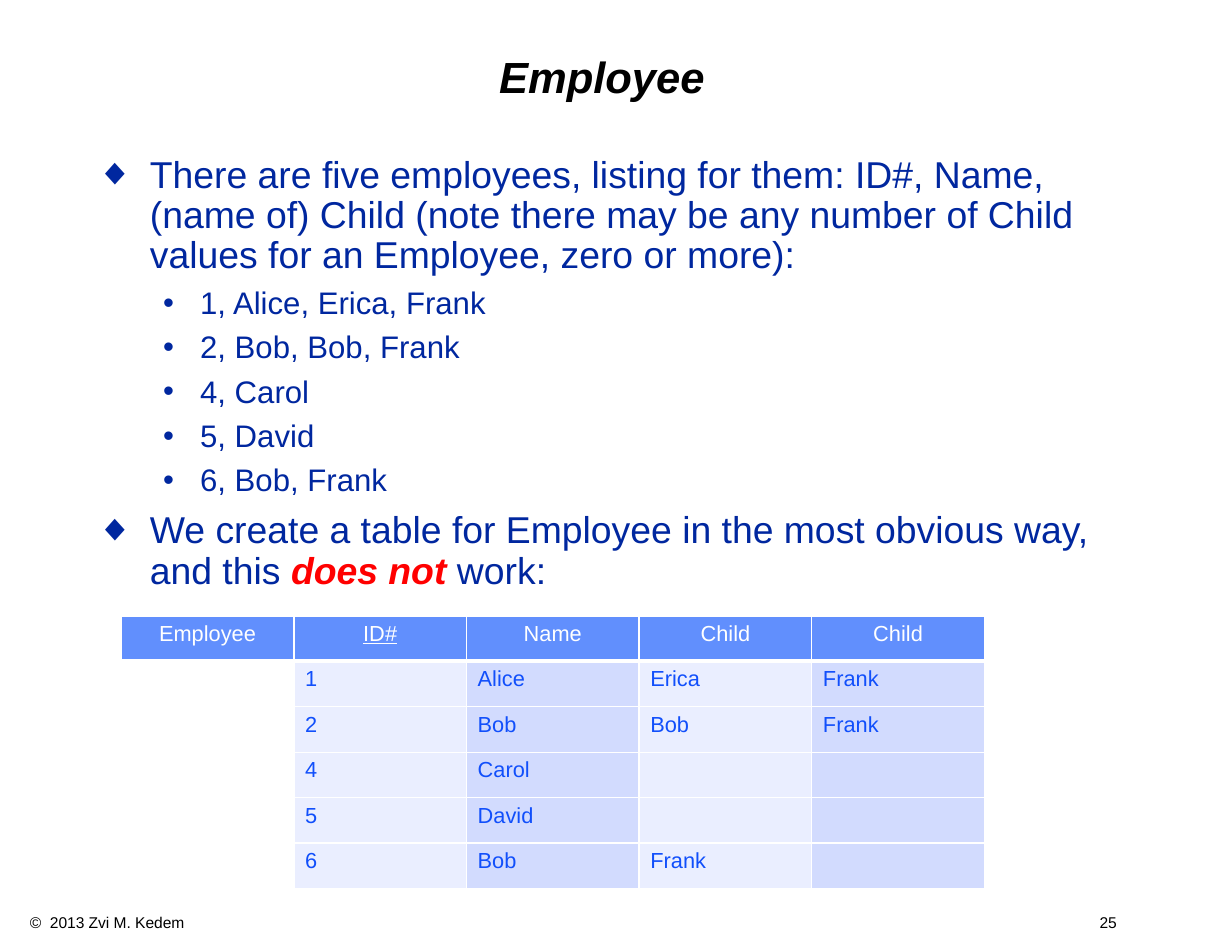
from dataclasses import dataclass

from lxml.etree import SubElement
from pptx import Presentation
from pptx.dml.color import RGBColor
from pptx.enum.text import MSO_ANCHOR, PP_ALIGN
from pptx.oxml.ns import qn
from pptx.util import Cm, Pt

BLACK = RGBColor(0x00, 0x00, 0x00)
WHITE = RGBColor(0xFF, 0xFF, 0xFF)
NAVY = RGBColor(0x00, 0x27, 0x9F)
RED = RGBColor(0xFF, 0x00, 0x00)
BLUE = RGBColor(0x11, 0x4F, 0xFB)
HEAD = RGBColor(0x61, 0x8F, 0xFD)
PALE = RGBColor(0xEA, 0xEE, 0xFF)
SOFT = RGBColor(0xD2, 0xDB, 0xFE)


@dataclass(frozen=True)
class Span:
    text: str
    color: RGBColor = NAVY
    strong: bool = False


@dataclass(frozen=True)
class Level:
    depth: int
    mark: str
    size: int
    left: float
    hang: float


@dataclass(frozen=True)
class Item:
    level: Level
    spans: tuple[Span, ...]


MAIN = Level(0, "◆", 24, 1.22, 1.22)
SUB = Level(1, "•", 20, 2.36, 0.84)

LISTING = ("1, Alice, Erica, Frank", "2, Bob, Bob, Frank", "4, Carol",
           "5, David", "6, Bob, Frank")
ITEMS = (
    Item(MAIN, (Span("There are five employees, listing for them: ID#, Name, "
                     "(name of) Child (note there may be any number of Child "
                     "values for an Employee, zero or more):"),)),
    *(Item(SUB, (Span(line),)) for line in LISTING),
    Item(MAIN, (Span("We create a table for Employee in the most obvious way, "
                     "and this "),
                Span("does not ", RED, True), Span("work:"))),
)
ROWS = (
    ("Employee", "ID#", "Name", "Child", "Child"),
    ("", "1", "Alice", "Erica", "Frank"),
    ("", "2", "Bob", "Bob", "Frank"),
    ("", "4", "Carol", "", ""),
    ("", "5", "David", "", ""),
    ("", "6", "Bob", "Frank", ""),
)
FILLS = (WHITE, PALE, SOFT, PALE, SOFT)


def add_run(para, text: str, size: int, color: RGBColor,
            strong: bool = False):
    run = para.add_run()
    run.text = text
    font = run.font
    font.name, font.size, font.color.rgb = "Arial", Pt(size), color
    font.bold = font.italic = strong
    return run


def add_box(slide, left: float, top: float, width: float, height: float,
            side: float = 0.28, edge: float = 0.15):
    box = slide.shapes.add_textbox(Cm(left), Cm(top), Cm(width), Cm(height))
    frame = box.text_frame
    frame.word_wrap = True
    frame.margin_left = frame.margin_right = Cm(side)
    frame.margin_top = frame.margin_bottom = Cm(edge)
    return frame


def add_item(para, item: Item) -> None:
    level = item.level
    para.level = level.depth
    para.line_spacing = 0.9
    para.space_before = Pt(round(level.size * 1.15 * 0.3, 1))
    props = para._p.get_or_add_pPr()
    props.set("marL", str(Cm(level.left)))
    props.set("indent", str(-Cm(level.hang)))
    tint = SubElement(props, qn("a:buClr"))
    SubElement(tint, qn("a:srgbClr"), val=str(NAVY))
    SubElement(props, qn("a:buFont"), typeface="Arial")
    SubElement(props, qn("a:buChar"), char=level.mark)
    for span in item.spans:
        add_run(para, span.text, level.size, span.color, span.strong)


def add_edges(cell, base: int) -> None:
    props = cell._tc.get_or_add_tcPr()
    for side, width in (("L", 1), ("R", 1), ("T", 1), ("B", base)):
        line = SubElement(props, qn(f"a:ln{side}"), w=str(Pt(width)))
        fill = SubElement(line, qn("a:solidFill"))
        SubElement(fill, qn("a:srgbClr"), val=str(WHITE))


def add_cell(cell, text: str, fill: RGBColor, head: bool) -> None:
    add_edges(cell, 3 if head else 1)
    cell.fill.solid()
    cell.fill.fore_color.rgb = fill
    if not text:
        return
    para = cell.text_frame.paragraphs[0]
    if head:
        para.alignment = PP_ALIGN.CENTER
    run = add_run(para, text, 14, WHITE if head else BLUE)
    if text == "ID#":
        run.font.underline = True


def main() -> None:
    deck = Presentation()
    deck.slide_width, deck.slide_height = Cm(27.94), Cm(21.59)
    slide = deck.slides.add_slide(deck.slide_layouts[6])

    # Footer: owner at left, page number at a right tab
    foot = add_box(slide, 0.43, 20.57, 26.26, 0.68, 0.25, 0.13)
    para = foot.paragraphs[0]
    tabs = SubElement(para._p.get_or_add_pPr(), qn("a:tabLst"))
    SubElement(tabs, qn("a:tab"), pos=str(Cm(24.65)), algn="r")
    add_run(para, "©  2013 Zvi M. Kedem\t25", 10, BLACK)

    # Title
    title = add_box(slide, 1.9, 0.64, 23.5, 2.33)
    title.vertical_anchor = MSO_ANCHOR.MIDDLE
    para = title.paragraphs[0]
    para.alignment, para.line_spacing = PP_ALIGN.CENTER, 0.9
    add_run(para, "Employee", 28, BLACK, True)

    # Bullets
    body = add_box(slide, 1.9, 3.39, 23.71, 16.93)
    for i, item in enumerate(ITEMS):
        add_item(body.add_paragraph() if i else body.paragraphs[0], item)

    # Table
    table = slide.shapes.add_table(
        len(ROWS), len(FILLS), Cm(2.75), Cm(13.97),
        Cm(19.58), Cm(6.18)).table
    for r, row in enumerate(ROWS):
        for c, text in enumerate(row):
            add_cell(table.cell(r, c), text, FILLS[c] if r else HEAD, r == 0)

    deck.save("out.pptx")


if __name__ == "__main__":
    main()
